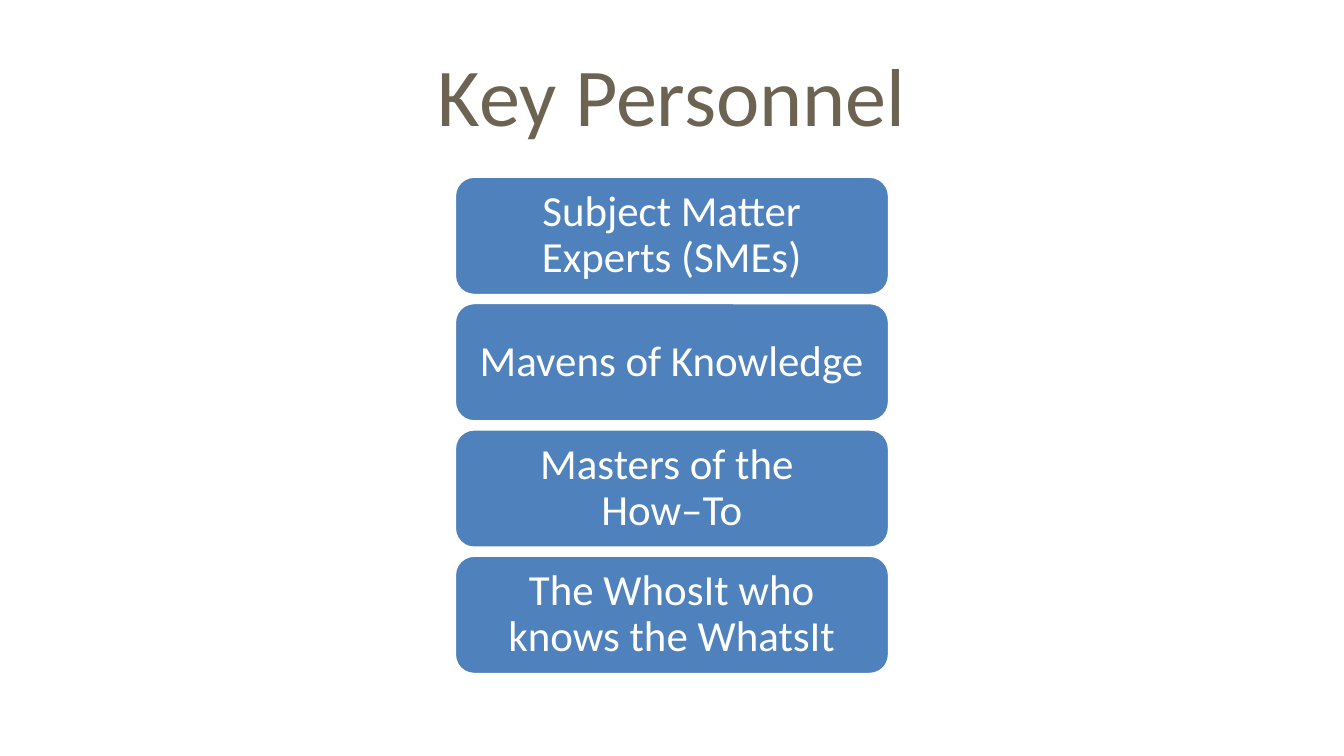
from dataclasses import dataclass

from pptx import Presentation
from pptx.dml.color import RGBColor
from pptx.enum.shapes import MSO_SHAPE
from pptx.enum.text import MSO_ANCHOR, PP_ALIGN
from pptx.util import Pt

ROUNDED = MSO_SHAPE.ROUNDED_RECTANGLE
MIDDLE = MSO_ANCHOR.MIDDLE
CENTER = PP_ALIGN.CENTER

EMU_PER_PX = 4572  # 200 px to the inch
SLIDE_WIDTH, SLIDE_HEIGHT = 2000, 1125


@dataclass(frozen=True)
class Theme:
    font: str = "Calibri"
    title_color: str = "6C6352"
    role_fill: str = "4F81BD"
    white: str = "FFFFFF"
    title_size: int = 44
    role_size: int = 23
    outline: int = 2


def px(length):
    return length * EMU_PER_PX


class SlideBuilder:
    def __init__(self, slide, theme):
        self.slide = slide
        self.theme = theme

    def add_lines(self, shape, lines, size, color, spacing=1.0):
        """Put centred lines, parted by line breaks, into a shape."""
        frame = shape.text_frame
        frame.word_wrap = True
        frame.vertical_anchor = MIDDLE
        frame.margin_left = frame.margin_right = px(20)
        frame.margin_top = frame.margin_bottom = px(10)
        para = frame.paragraphs[0]
        para.alignment = CENTER
        para.line_spacing = spacing
        for index, line in enumerate(lines):
            if index:
                para.add_line_break()
            span = para.add_run()
            span.text = line
            span.font.name = self.theme.font
            span.font.size = Pt(size)
            span.font.color.rgb = RGBColor.from_string(color)

    def title(self, text, left, top, width, height):
        box = self.slide.shapes.add_textbox(px(left), px(top), px(width), px(height))
        self.add_lines(box, [text], self.theme.title_size, self.theme.title_color)

    def role(self, lines, left, top, width, height):
        box = self.slide.shapes.add_shape(
            ROUNDED, px(left), px(top), px(width), px(height))
        box.shadow.inherit = False
        box.fill.solid()
        box.fill.fore_color.rgb = RGBColor.from_string(self.theme.role_fill)
        box.line.color.rgb = RGBColor.from_string(self.theme.white)
        box.line.width = Pt(self.theme.outline)
        self.add_lines(box, lines, self.theme.role_size, self.theme.white, 0.9)


def main():
    deck = Presentation()
    deck.slide_width, deck.slide_height = px(SLIDE_WIDTH), px(SLIDE_HEIGHT)
    page = SlideBuilder(deck.slides.add_slide(deck.slide_layouts[6]), Theme())

    # Title
    page.title("Key Personnel", 100, 46, 1800, 188)

    # Stack of roles, centred on the slide
    roles = [
        ["Subject Matter Experts (SMEs)"],
        ["Mavens of Knowledge"],
        ["Masters of the ", "How–To"],
        ["The WhosIt who knows the WhatsIt"],
    ]
    width, height, gap, top = 648, 178, 10, 262
    left = (SLIDE_WIDTH - width) // 2
    for index, lines in enumerate(roles):
        page.role(lines, left, top + index * (height + gap), width, height)

    deck.save("out.pptx")


if __name__ == "__main__":
    main()
